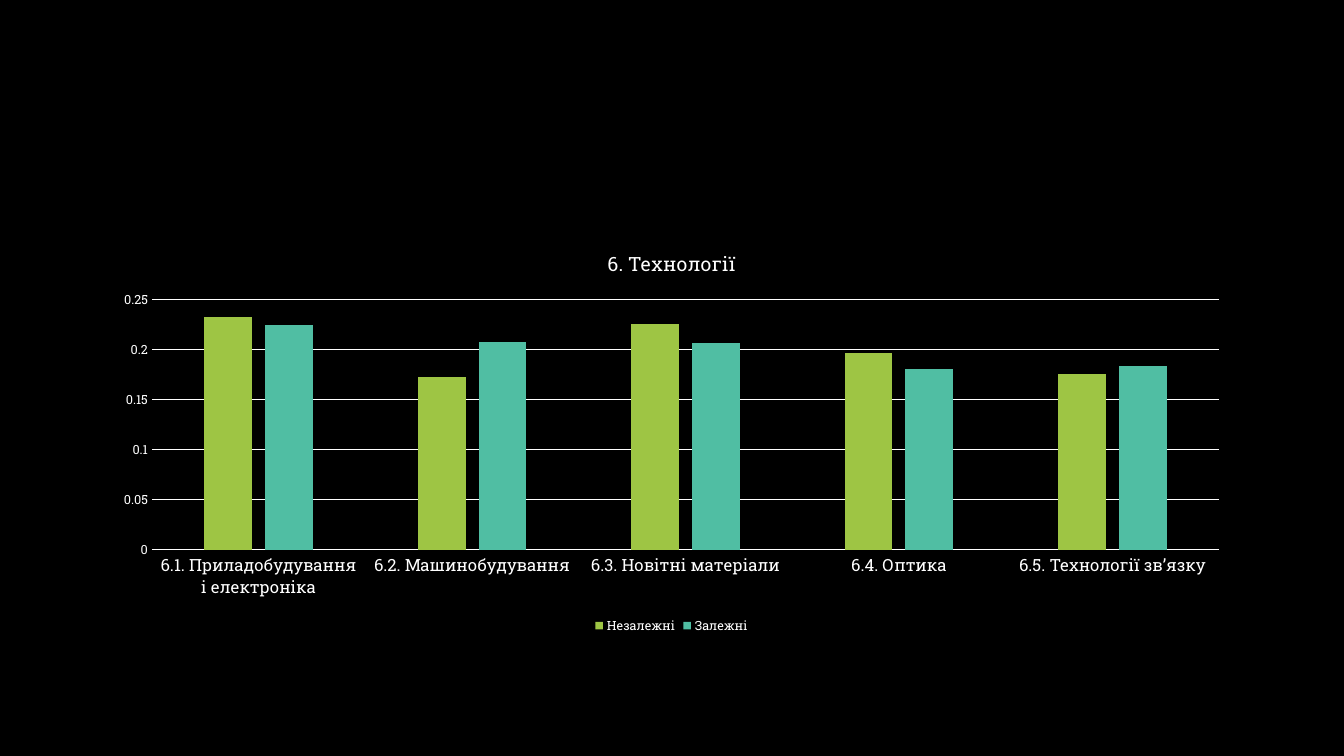
from dataclasses import dataclass
from typing import Any

from pptx import Presentation
from pptx.chart.chart import Chart
from pptx.chart.data import CategoryChartData
from pptx.dml.color import RGBColor
from pptx.enum.chart import XL_CHART_TYPE as ChartType
from pptx.enum.chart import XL_LEGEND_POSITION as LegendPosition
from pptx.enum.chart import XL_TICK_MARK as TickMark
from pptx.text.text import Font
from pptx.util import Emu, Pt

SLIDE_WIDTH, SLIDE_HEIGHT = 1344, 756
EMU_PER_PX = 12192000 / SLIDE_WIDTH

BLACK = RGBColor(0x00, 0x00, 0x00)
WHITE = RGBColor(0xFF, 0xFF, 0xFF)
GREEN = RGBColor(0x9E, 0xC5, 0x44)
TEAL = RGBColor(0x50, 0xBE, 0xA3)


@dataclass(frozen=True)
class Group:
    name: str
    values: tuple[float, ...]
    color: RGBColor


TITLE = "6. Технології"
FIELDS = (
    "6.1. Приладобудування і електроніка",
    "6.2. Машинобудування",
    "6.3. Новітні матеріали",
    "6.4. Оптика",
    "6.5. Технології зв’язку",
)
GROUPS = (
    Group("Незалежні", (0.232, 0.172, 0.225, 0.196, 0.175), GREEN),
    Group("Залежні", (0.224, 0.207, 0.206, 0.18, 0.183), TEAL),
)


def px(length: int) -> Emu:
    return Emu(round(length * EMU_PER_PX))


def assign(target: Any, **settings: Any) -> None:
    for attribute, value in settings.items():
        setattr(target, attribute, value)


def style_font(font: Font, size: int) -> None:
    assign(font, name="Roboto Slab", size=Pt(size), bold=False)
    font.color.rgb = WHITE


def style_line(line: Any) -> None:
    line.color.rgb = WHITE
    line.width = Pt(0.75)


def style_title(chart: Chart) -> None:
    chart.has_title = True
    chart.chart_title.include_in_layout = False
    heading = chart.chart_title.text_frame.paragraphs[0].add_run()
    heading.text = TITLE
    style_font(heading.font, 14)


def style_axes(chart: Chart) -> None:
    no_ticks = {"major_tick_mark": TickMark.NONE, "minor_tick_mark": TickMark.NONE}
    fields, shares = chart.category_axis, chart.value_axis
    assign(fields, **no_ticks, has_major_gridlines=False)
    assign(shares, **no_ticks, has_major_gridlines=True,
           minimum_scale=0, maximum_scale=0.25, major_unit=0.05)
    style_font(fields.tick_labels.font, 12)
    style_font(shares.tick_labels.font, 9)
    style_line(fields.format.line)
    style_line(shares.major_gridlines.format.line)
    shares.format.line.fill.background()


def style_columns(chart: Chart) -> None:
    columns = chart.plots[0]
    assign(columns, gap_width=219, overlap=-27, vary_by_categories=False)
    for series, group in zip(columns.series, GROUPS):
        series.invert_if_negative = False
        series.format.fill.solid()
        series.format.fill.fore_color.rgb = group.color


def style_legend(chart: Chart) -> None:
    chart.has_legend = True
    assign(chart.legend, position=LegendPosition.BOTTOM, include_in_layout=False)
    style_font(chart.legend.font, 9)


def main() -> None:
    deck = Presentation()
    assign(deck, slide_width=px(SLIDE_WIDTH), slide_height=px(SLIDE_HEIGHT))
    slide = deck.slides.add_slide(deck.slide_layouts[6])
    slide.background.fill.solid()
    slide.background.fill.fore_color.rgb = BLACK

    data = CategoryChartData()
    data.categories = FIELDS
    for group in GROUPS:
        data.add_series(group.name, group.values)
    chart = slide.shapes.add_chart(
        ChartType.COLUMN_CLUSTERED, px(101), px(231), px(1141), px(407), data
    ).chart
    style_font(chart.font, 10)
    style_title(chart)
    style_axes(chart)
    style_columns(chart)
    style_legend(chart)

    deck.save("out.pptx")


if __name__ == "__main__":
    main()
